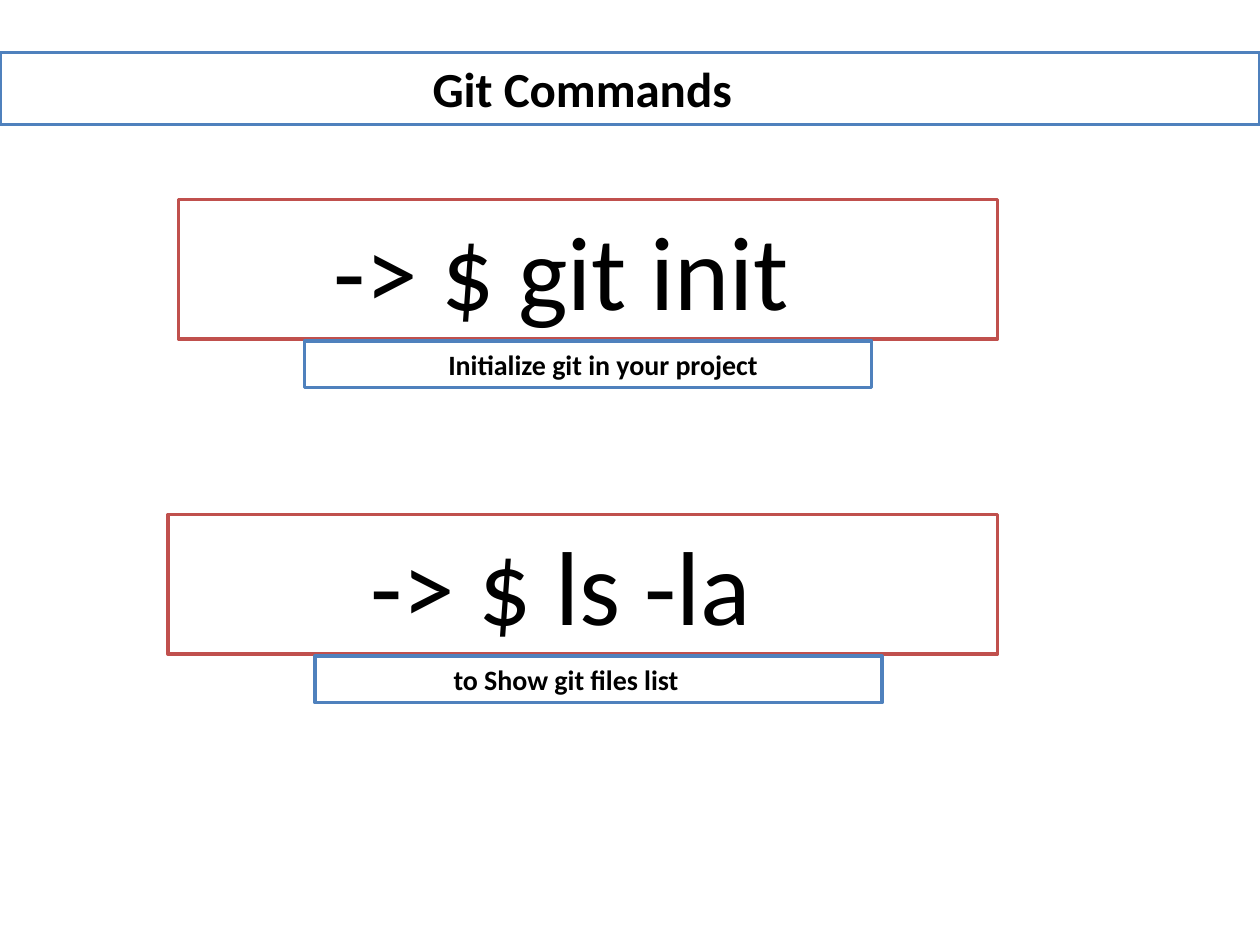
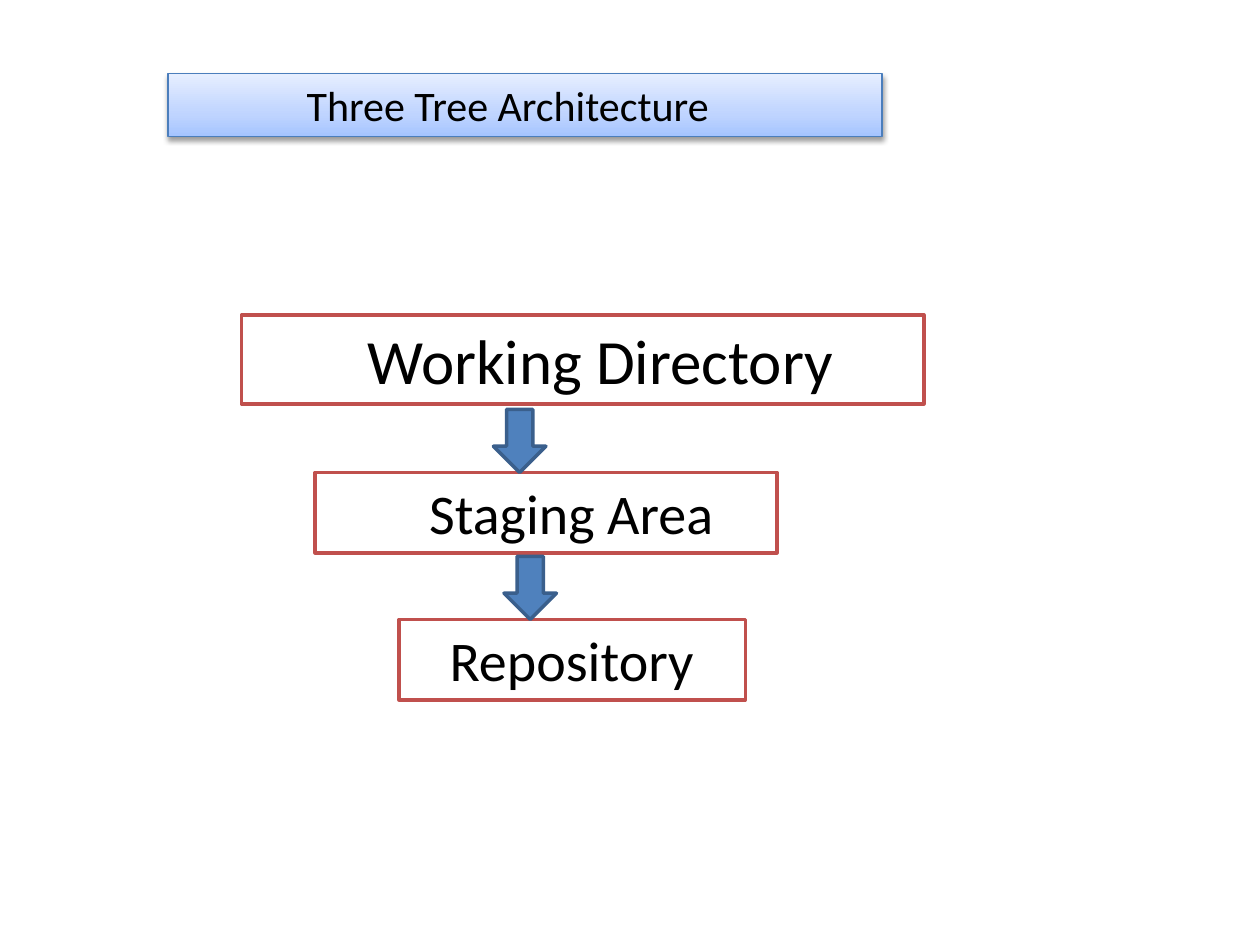
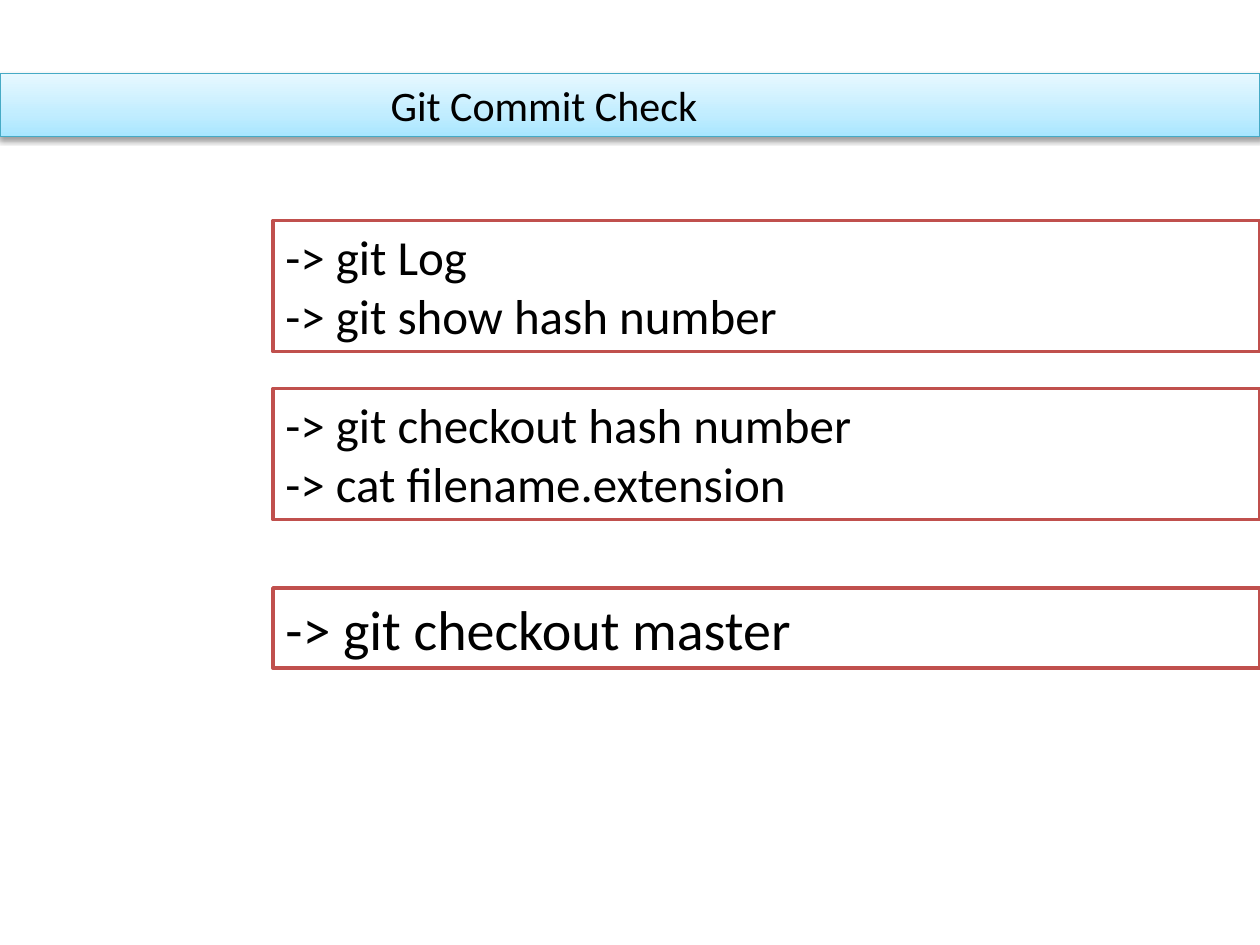
from copy import deepcopy
from dataclasses import dataclass
from lxml.etree import SubElement
from pptx import Presentation
from pptx.dml.color import RGBColor
from pptx.enum.shapes import MSO_SHAPE
from pptx.enum.text import MSO_AUTO_SIZE
from pptx.oxml.ns import qn
from pptx.util import Pt


@dataclass(frozen=True)
class Theme:
    font: str = "Calibri"
    ink: str = "000000"
    paper: str = "FFFFFF"
    blue: str = "4F81BD"
    navy: str = "3A5F8C"
    red: str = "C0504D"
    sky: tuple = ("4B7EBC", "A4C4FF", "BFD4FF", "E6EEFF")
    aqua: tuple = ("46AAC5", "A7E6FF", "C1EDFF", "E7F8FF")
    stops: tuple = (0, 0.35, 1)
    head: int = 28
    band: int = 24
    huge: int = 60
    note: int = 16
    line: float = 2
    thin: float = 0.75
    pad: float = 7.2
    lead: float = 1.21


theme = Theme()
WIDE, HIGH = 720, 540

HEAD = ("Git Commands", 0, 30, WIDE, 240)
CALLS = [
    (("-> $ git init", 102, 114, 468, 81.4),
     ("Initialize git in your project", 174, 195, 324, 75)),
    (("-> $ ls -la", 96, 294, 474, 108.5),
     ("to Show git files list", 180, 375, 324, 72)),
]

TREE = ("Three Tree Architecture", 96, 42, 408, 72)
STAGES = [
    ("Working Directory", 138, 180, 390, 65, 36),
    ("Staging Area", 180, 270, 264, 58, 32),
    ("Repository", 228, 354, 198, 21.7, 32),
]
ARROWS = [282, 288]
ARROW = (30, 36)

CHECK = ("Git Commit Check", 0, 42, WIDE, 216)
STEPS = [
    ("-> git Log\n-> git show hash number", 126, 28),
    ("-> git checkout hash number\n-> cat filename.extension", 222, 28),
    ("-> git checkout master", 336, 32),
]
STEP_X = 156


def paint(shape, fill, line, width=theme.line):
    shape.fill.solid()
    shape.fill.fore_color.rgb = RGBColor.from_string(fill)
    shape.line.color.rgb = RGBColor.from_string(line)
    shape.line.width = Pt(width)


def add_box(slide, item, size, line, bold=None):
    text, left, top, width, indent = item
    rows = text.count("\n") + 1
    high = round(rows * size * theme.lead + theme.pad, 1)
    box = slide.shapes.add_textbox(Pt(left), Pt(top), Pt(width), Pt(high))
    paint(box, theme.paper, line)
    frame = box.text_frame
    frame.word_wrap = True
    frame.auto_size = MSO_AUTO_SIZE.SHAPE_TO_FIT_TEXT
    frame.margin_left = Pt(theme.pad + indent)
    para = frame.paragraphs[0]
    para.text = text
    for run in para.runs:
        run.font.name = theme.font
        run.font.size = Pt(size)
        run.font.bold = bold
        run.font.color.rgb = RGBColor.from_string(theme.ink)
    return box


def add_band(slide, item, tones):
    line, *shades = tones
    box = add_box(slide, item, theme.band, line)
    box.line.width = Pt(theme.thin)
    box.fill.gradient()
    box.fill.gradient_angle = 90
    first = box.fill._xPr.find(qn("a:gradFill")).find(qn("a:gsLst"))[0]
    first.addnext(deepcopy(first))
    for stop, spot, shade in zip(box.fill.gradient_stops, theme.stops, shades):
        stop.position = spot
        stop.color.rgb = RGBColor.from_string(shade)
    glow = SubElement(box._element.spPr, qn("a:effectLst"))
    cast = SubElement(glow, qn("a:outerShdw"), blurRad=str(Pt(3.1)),
                      dist=str(Pt(1.6)), dir="5400000", rotWithShape="0")
    tint = SubElement(cast, qn("a:srgbClr"), val=theme.ink)
    SubElement(tint, qn("a:alpha"), val="38000")


def add_arrow(slide, left, foot):
    width, high = ARROW
    arrow = slide.shapes.add_shape(MSO_SHAPE.DOWN_ARROW, Pt(left),
                                   Pt(foot - high), Pt(width), Pt(high))
    arrow.shadow.inherit = False
    paint(arrow, theme.blue, theme.navy)


def draw_calls(slide):
    add_box(slide, HEAD, theme.head, theme.blue, True)
    for call, note in CALLS:
        add_box(slide, call, theme.huge, theme.red)
        add_box(slide, note, theme.note, theme.blue, True)


def draw_tree(slide):
    add_band(slide, TREE, theme.sky)
    for *item, size in STAGES:
        add_box(slide, item, size, theme.red)
    for left, stage in zip(ARROWS, STAGES[1:]):
        add_arrow(slide, left, stage[2])


def draw_check(slide):
    add_band(slide, CHECK, theme.aqua)
    for text, top, size in STEPS:
        add_box(slide, (text, STEP_X, top, WIDE - STEP_X, 0), size, theme.red)


def main():
    deck = Presentation()
    deck.slide_width, deck.slide_height = Pt(WIDE), Pt(HIGH)
    for draw in (draw_calls, draw_tree, draw_check):
        draw(deck.slides.add_slide(deck.slide_layouts[6]))
    deck.save("out.pptx")


if __name__ == "__main__":
    main()
